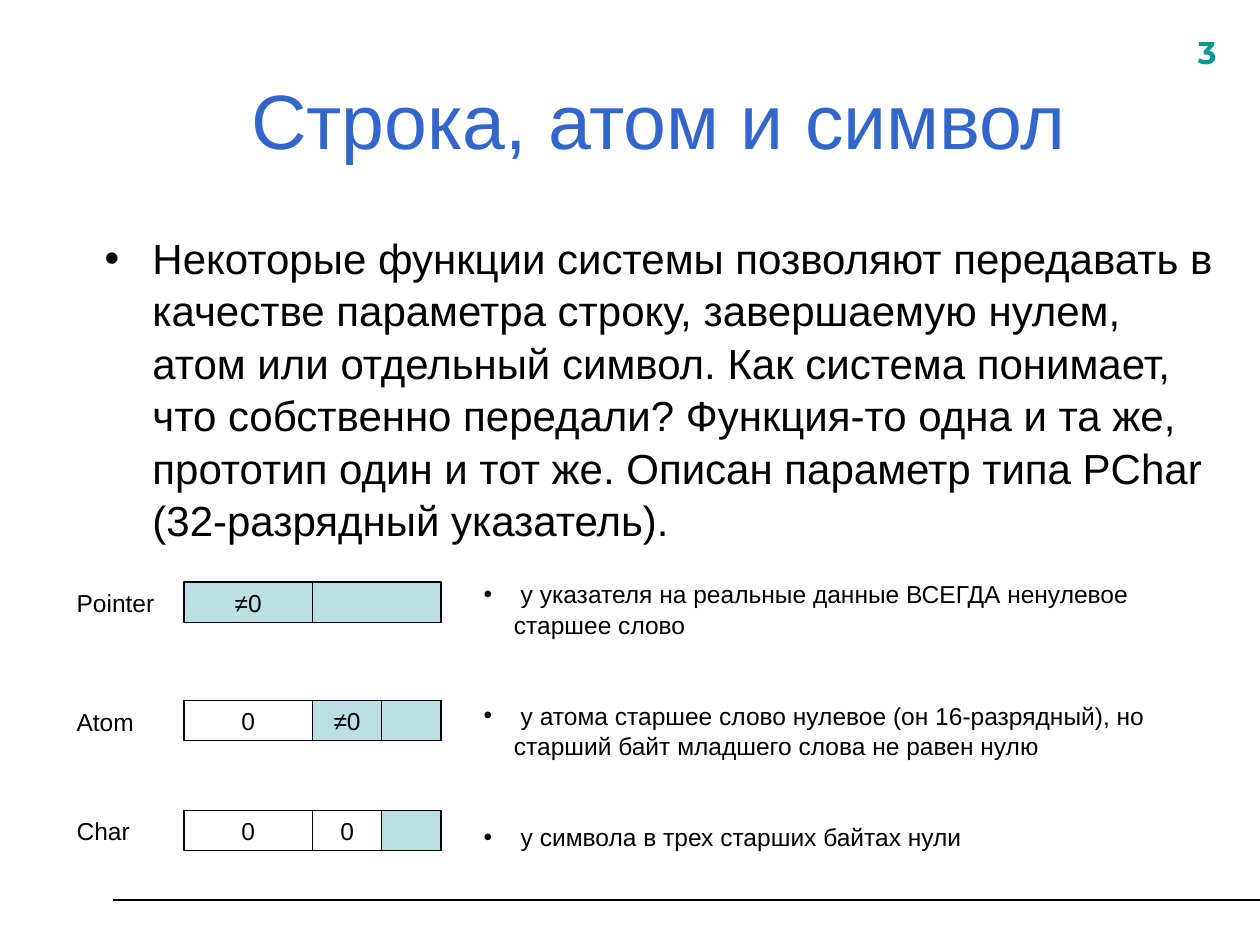
from lxml import etree
from pptx import Presentation
from pptx.dml.color import RGBColor
from pptx.enum import shapes, text
from pptx.oxml import ns
from pptx.util import Inches, Pt

BLACK = RGBColor(0x00, 0x00, 0x00)
WHITE = RGBColor(0xFF, 0xFF, 0xFF)
BLUE = RGBColor(0x33, 0x66, 0xCC)
TEAL = RGBColor(0x00, 0x99, 0x99)
AQUA = RGBColor(0xBB, 0xE0, 0xE3)

# Content
TITLE = "Строка, атом и символ"
QUESTION = (
    "Некоторые функции системы позволяют передавать в качестве параметра "
    "строку, завершаемую нулем, атом или отдельный символ. Как система "
    "понимает, что собственно передали? Функция-то одна и та же, прототип "
    "один и тот же. Описан параметр типа PChar (32-разрядный указатель)."
)
PAGE_NUMBER = "3"
# label, top, high word (value, fill), high byte of the low word, explanation
VARIANTS = [
    ("Pointer", 4.62, ("≠0", AQUA), None,
     " у указателя на реальные данные ВСЕГДА ненулевое старшее слово"),
    ("Atom", 5.56, ("0", None), ("≠0", AQUA),
     " у атома старшее слово нулевое (он 16-разрядный), но старший байт "
     "младшего слова не равен нулю"),
    ("Char", 6.43, ("0", None), ("0", WHITE),
     " у символа в трех старших байтах нули"),
]

# Memory layout, inches
HIGH_LEFT, WORD_WIDTH, BYTE_WIDTH, CELL_HEIGHT = 1.46, 1.02, 0.55, 0.32
LOW_LEFT = HIGH_LEFT + WORD_WIDTH
LINE_SPACING = 1.04


def add_run(paragraph, words, size, color=BLACK, font="Arial", bold=False):
    run = paragraph.add_run()
    run.text = words
    run.font.size, run.font.name, run.font.bold = Pt(size), font, bold
    run.font.color.rgb = color


def set_bullet(paragraph, indent):
    props = paragraph._p.get_or_add_pPr()
    props.set("marL", str(Inches(indent)))
    props.set("indent", str(-Inches(indent)))
    etree.SubElement(props, ns.qn("a:buFont"), typeface="Arial")
    etree.SubElement(props, ns.qn("a:buChar"), char="•")


def place(shape, left, top, width, height):
    shape.left, shape.top = Inches(left), Inches(top)
    shape.width, shape.height = Inches(width), Inches(height)


def add_text_frame(slide, left, top, width, height):
    box = slide.shapes.add_textbox(
        Inches(left), Inches(top), Inches(width), Inches(height))
    box.text_frame.word_wrap = True
    return box.text_frame


def add_cell(slide, left, top, width, value, fill):
    cell = slide.shapes.add_shape(
        shapes.MSO_SHAPE.RECTANGLE,
        Inches(left), Inches(top), Inches(width), Inches(CELL_HEIGHT))
    cell.shadow.inherit = False
    if fill is None:
        cell.fill.background()
    else:
        cell.fill.solid()
        cell.fill.fore_color.rgb = fill
    cell.line.color.rgb = BLACK
    cell.line.width = Pt(0.75)
    if value:
        frame = cell.text_frame
        frame.word_wrap = False
        frame.vertical_anchor = text.MSO_ANCHOR.MIDDLE
        frame.paragraphs[0].alignment = text.PP_ALIGN.CENTER
        add_run(frame.paragraphs[0], value, 14)


def main():
    deck = Presentation()
    deck.slide_width, deck.slide_height = Inches(10), Inches(7.5)
    slide = deck.slides.add_slide(deck.slide_layouts[1])

    # Footer rule and page number
    rule = slide.shapes.add_connector(
        shapes.MSO_CONNECTOR.STRAIGHT,
        Inches(0.9), Inches(7.14), Inches(10), Inches(7.14))
    rule.line.color.rgb = BLACK
    rule.line.width = Pt(1.25)
    etree.SubElement(rule._element.spPr, ns.qn("a:effectLst"))
    number = add_text_frame(slide, 9.41, 0.21, 0.63, 0.44)
    add_run(number.paragraphs[0], PAGE_NUMBER, 18, TEAL, "Montserrat", True)

    # Title
    title = slide.shapes.title
    place(title, 0.73, 0.32, 9, 1.25)
    title.text_frame.auto_size = text.MSO_AUTO_SIZE.NONE
    title.text_frame.vertical_anchor = text.MSO_ANCHOR.MIDDLE
    heading = title.text_frame.paragraphs[0]
    heading.alignment = text.PP_ALIGN.CENTER
    add_run(heading, TITLE, 44, BLUE)

    # Question
    body = slide.placeholders[1]
    place(body, 0.73, 1.78, 9, 2.6)
    body.text_frame.auto_size = text.MSO_AUTO_SIZE.NONE
    question = body.text_frame.paragraphs[0]
    question.space_before = Pt(6)
    question.line_spacing = LINE_SPACING
    set_bullet(question, 0.38)
    add_run(question, QUESTION, 24)

    # Memory words with labels and explanations
    explanations = add_text_frame(slide, 3.74, 4.54, 5.98, 2.22)
    for index, (label, top, high_word, high_byte, meaning) in enumerate(VARIANTS):
        name = add_text_frame(slide, 0.51, top, 0.87, 0.34)
        add_run(name.paragraphs[0], label, 14)

        add_cell(slide, HIGH_LEFT, top, WORD_WIDTH, *high_word)
        add_cell(slide, LOW_LEFT, top, WORD_WIDTH, "", AQUA)
        if high_byte:
            add_cell(slide, LOW_LEFT, top, BYTE_WIDTH, *high_byte)

        item = explanations.add_paragraph() if index else explanations.paragraphs[0]
        item.space_before = Pt(34.4 if index else 0)
        item.line_spacing = LINE_SPACING
        set_bullet(item, 0.24)
        add_run(item, meaning, 14)

    deck.save("out.pptx")


if __name__ == "__main__":
    main()
